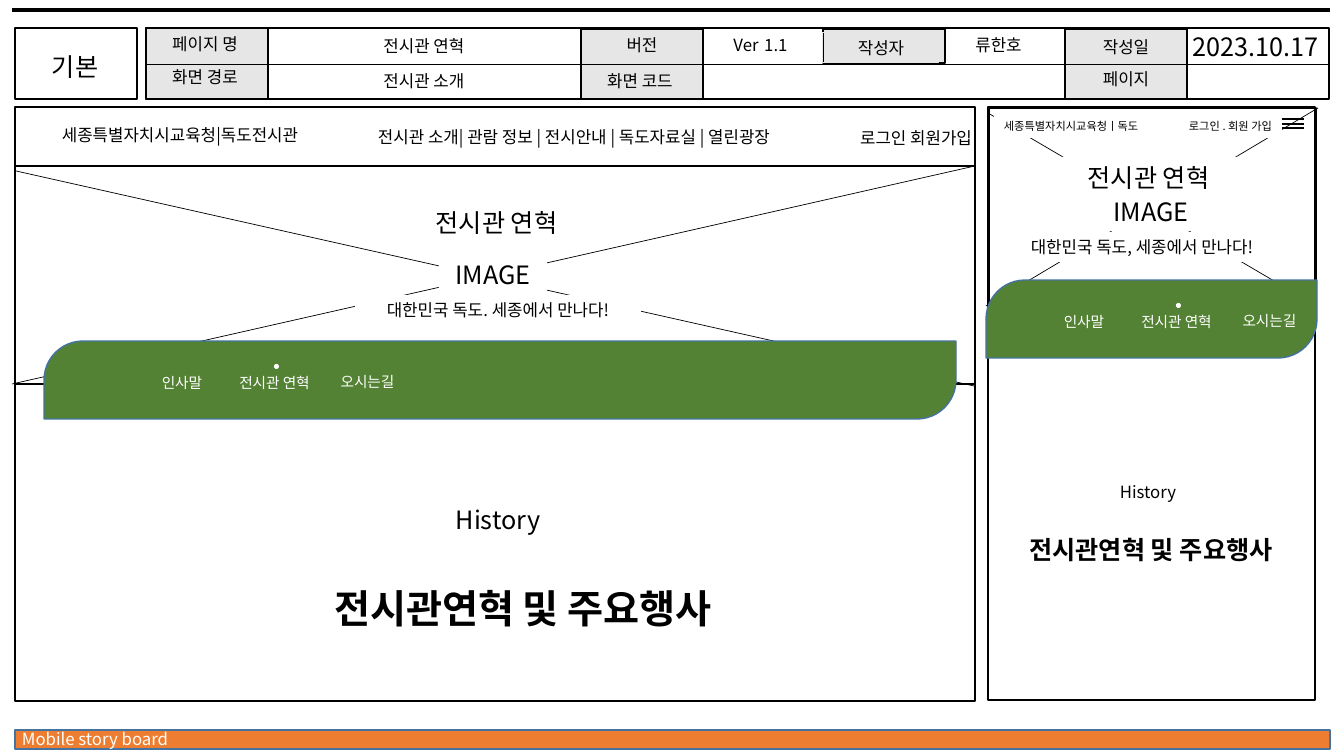
from dataclasses import dataclass
from typing import NamedTuple, Optional

from lxml.etree import SubElement
from pptx import Presentation
from pptx.dml.color import RGBColor
from pptx.enum.shapes import MSO_CONNECTOR, MSO_SHAPE
from pptx.enum.text import MSO_ANCHOR, MSO_AUTO_SIZE, PP_ALIGN
from pptx.oxml.ns import qn
from pptx.util import Emu, Pt

WIDTH, HEIGHT = 1344, 756
SCALE = 12192000 / WIDTH
FONT = "Noto Sans CJK KR"
COLORS = {
    "black": "000000",
    "white": "FFFFFF",
    "label": "E7E6E6",
    "menu": "548235",
    "footer": "ED7D31",
    "outline": "43739E",
}


class Box(NamedTuple):
    left: int
    top: int
    width: int
    height: int


class Run(NamedTuple):
    text: str
    size: float


@dataclass
class Label:
    box: Box
    runs: list[Run]
    align: PP_ALIGN = PP_ALIGN.CENTER
    color: str = "black"
    fill: Optional[str] = None
    line: Optional[str] = None
    bold: bool = False


@dataclass
class Panel:
    box: Box
    fill: Optional[str] = None
    line: Optional[str] = "black"
    kind: MSO_SHAPE = MSO_SHAPE.RECTANGLE


@dataclass
class Rule:
    start: tuple[int, int]
    end: tuple[int, int]
    weight: float = 0.5


def px(value: float) -> Emu:
    return Emu(round(value * SCALE))


def rgb(name: str) -> RGBColor:
    return RGBColor.from_string(COLORS[name])


def paint(shape, fill: Optional[str], line: Optional[str], weight: float) -> None:
    if fill:
        shape.fill.solid()
        shape.fill.fore_color.rgb = rgb(fill)
    else:
        shape.fill.background()
    if line:
        shape.line.color.rgb = rgb(line)
        shape.line.width = Pt(weight)
    else:
        shape.line.fill.background()


def draw_panel(slide, panel: Panel) -> None:
    shape = slide.shapes.add_shape(panel.kind, *map(px, panel.box))
    shape.shadow.inherit = False
    if panel.kind == MSO_SHAPE.ROUND_2_DIAG_RECTANGLE:
        shape.adjustments[0] = 0.5
        shape.adjustments[1] = 0
    paint(shape, panel.fill, panel.line, 1)


def draw_rule(slide, rule: Rule) -> None:
    connector = slide.shapes.add_connector(
        MSO_CONNECTOR.STRAIGHT, *map(px, rule.start + rule.end))
    connector.line.color.rgb = rgb("black")
    connector.line.width = Pt(rule.weight)
    SubElement(connector._element.spPr, qn("a:effectLst"))


def write_label(shape, label: Label) -> None:
    frame = shape.text_frame
    frame.word_wrap = True
    frame.auto_size = MSO_AUTO_SIZE.SHAPE_TO_FIT_TEXT
    frame.vertical_anchor = MSO_ANCHOR.TOP
    paragraph = frame.paragraphs[0]
    paragraph.alignment = label.align
    paragraph.line_spacing = 1.0
    paragraph.space_before = Pt(0)
    for text, size in label.runs:
        run = paragraph.add_run()
        run.text = text
        run.font.size = Pt(size)
        run.font.bold = label.bold
        run.font.color.rgb = rgb(label.color)
        run.font.name = FONT
        SubElement(run.font._element, qn("a:ea"), typeface=FONT)


def draw_label(slide, label: Label) -> None:
    shape = slide.shapes.add_textbox(*map(px, label.box))
    paint(shape, label.fill, label.line, 0.75)
    write_label(shape, label)


def draw_menu(slide, bar: Box, tabs_left: int) -> None:
    draw_panel(slide, Panel(bar, "menu", "outline", MSO_SHAPE.ROUND_2_DIAG_RECTANGLE))
    for text, offset, drop, width in (
            ("인사말", 0, 28, 96), ("전시관 연혁", 81, 28, 119), ("오시는길", 174, 27, 119)):
        box = Box(tabs_left + offset, bar.top + drop, width, 29)
        draw_label(slide, Label(box, [Run(text, 10.5)], color="white"))
    dot = Box(tabs_left + 140, bar.top + 23, 5, 5)
    draw_panel(slide, Panel(dot, "white", None, MSO_SHAPE.OVAL))


def draw_all(slide, *parts) -> None:
    painters = {Panel: draw_panel, Rule: draw_rule, Label: draw_label}
    for part in parts:
        painters[type(part)](slide, part)


presentation = Presentation()
presentation.slide_width, presentation.slide_height = px(WIDTH), px(HEIGHT)
slide = presentation.slides.add_slide(presentation.slide_layouts[5])

# Page title in the desktop view
title = slide.shapes.title
title_label = Label(Box(268, 579, 510, 57), [Run("전시관연혁 및 주요행사", 28)], bold=True)
title.left, title.top, title.width, title.height = map(px, title_label.box)
write_label(title, title_label)

# Top rule and footer
draw_all(
    slide,
    Rule((12, 10), (1330, 10), 3),
    Panel(Box(15, 730, 1315, 19), "footer", "outline"),
    Label(Box(12, 724, 323, 30), [Run("Mobile story board", 12)], PP_ALIGN.LEFT, "white"),
)

# Document header: frames, grey label cells, divider
draw_all(slide, Panel(Box(15, 28, 122, 71)), Panel(Box(146, 28, 1183, 71)))
for left, top, height in ((146, 28, 71), (581, 29, 70), (823, 29, 34), (1065, 29, 70)):
    draw_panel(slide, Panel(Box(left, top, 122, height), "label"))
draw_rule(slide, Rule((146, 64), (1329, 64)))

# Document header: wording
for text, left, top, width in (
        ("페이지 명", 147, 29, 116), ("화면 경로", 147, 62, 116),
        ("버전", 584, 30, 116), ("화면 코드", 582, 66, 116),
        ("작성일", 1068, 32, 116), ("페이지", 1068, 64, 116),
        ("전시관 연혁", 308, 31, 232), ("전시관 소개", 308, 66, 232),
        ("류한호", 897, 30, 203)):
    draw_label(slide, Label(Box(left, top, width, 30), [Run(text, 12)]))
draw_all(
    slide,
    Label(Box(17, 46, 116, 42), [Run("기본", 18)]),
    Label(Box(823, 33, 116, 30), [Run("작성자", 12)], line="label"),
    Label(Box(1154, 26, 203, 40), [Run("2023.10.17", 18)]),
    Label(Box(659, 21, 203, 40), [Run("Ver", 12), Run(" ", 18), Run("1.1", 12)]),
)

# Desktop view
draw_all(
    slide,
    Panel(Box(15, 107, 960, 594)),
    Panel(Box(15, 166, 960, 218)),
    Label(Box(26, 120, 308, 30), [Run("세종특별자치시교육청|독도전시관", 12)]),
    Label(Box(340, 122, 468, 30),
          [Run("전시관 소개| 관람 정보 | 전시안내 | 독도자료실 | 열린광장", 12)]),
    Label(Box(588, 123, 394, 30), [Run("로그인 회원가입", 12)], PP_ALIGN.RIGHT),
    Rule((12, 384), (975, 166)),
    Rule((16, 171), (974, 386)),
    Label(Box(439, 254, 108, 40), [Run("IMAGE", 18)], fill="white"),
    Label(Box(405, 202, 183, 40), [Run("전시관 연혁", 18)]),
    Label(Box(355, 295, 286, 30), [Run("대한민국 독도. 세종에서 만나다!", 12)], fill="white"),
    Label(Box(355, 499, 286, 40), [Run("History", 18)], fill="white"),
)
draw_menu(slide, Box(44, 341, 912, 78), 134)

# Mobile view
draw_all(
    slide,
    Panel(Box(989, 108, 327, 202), "white"),
    Panel(Box(988, 107, 327, 593)),
    Rule((986, 306), (1318, 108)),
    Rule((1315, 305), (988, 113)),
    Label(Box(994, 114, 188, 24), [Run("세종특별자치시교육청ㅣ독도", 8)],
          PP_ALIGN.LEFT, fill="white"),
    Label(Box(1161, 114, 121, 24), [Run("로그인 . 회원 가입", 8)],
          PP_ALIGN.RIGHT, fill="white"),
    *(Rule((1282, top), (1304, top), 1) for top in (119, 124, 128)),
    Label(Box(1097, 191, 108, 40), [Run("IMAGE", 18)], fill="white"),
    Label(Box(999, 232, 286, 30), [Run("대한민국 독도, 세종에서 만나다!", 12)], fill="white"),
    Label(Box(1057, 157, 183, 40), [Run("전시관 연혁", 18)], fill="white"),
    Label(Box(1005, 477, 286, 30), [Run("History", 12)], fill="white"),
    Label(Box(996, 529, 310, 40), [Run("전시관연혁 및 주요행사", 18)], fill="white", bold=True),
)
draw_menu(slide, Box(986, 280, 331, 78), 1036)

presentation.save("out.pptx")
